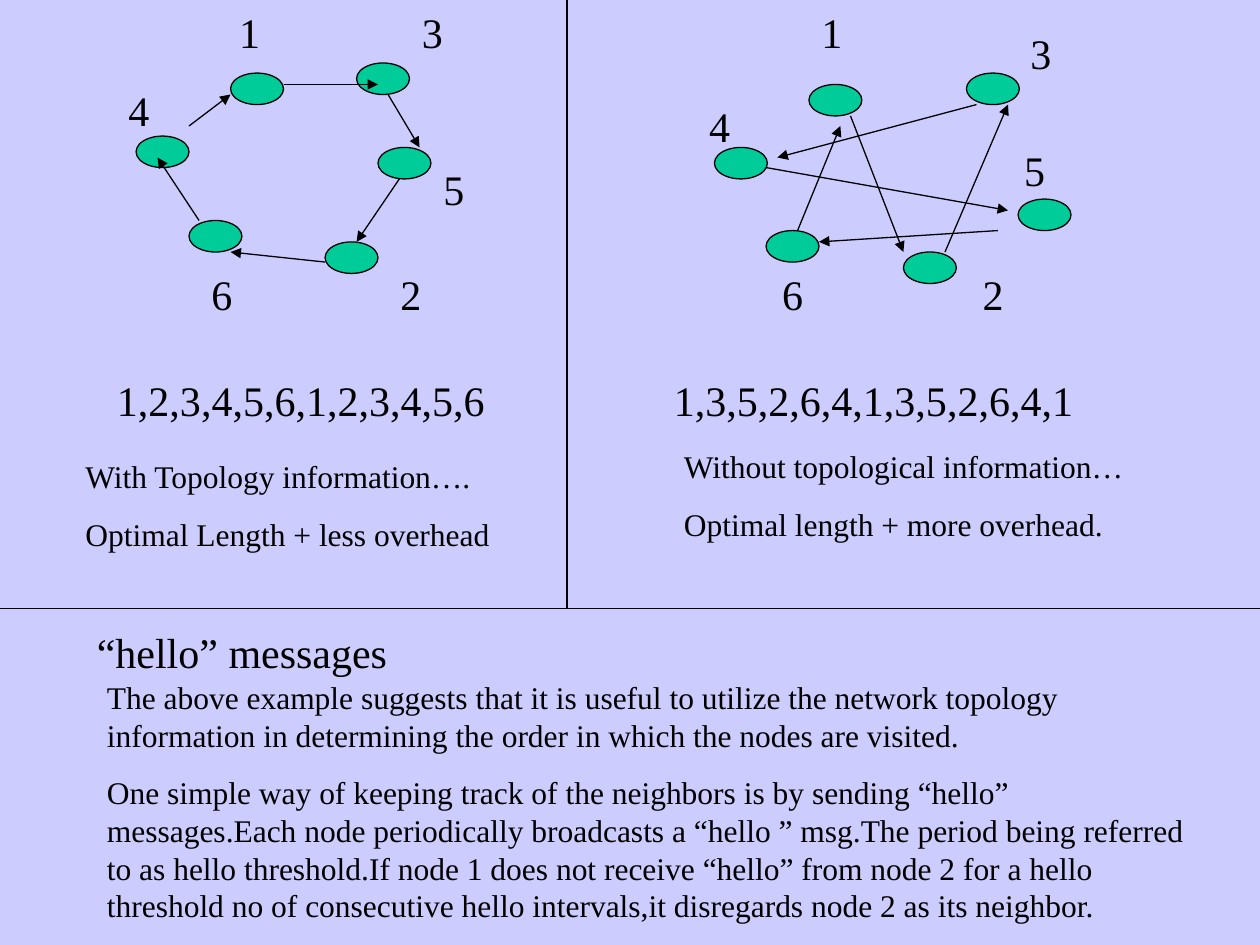
from dataclasses import dataclass

from lxml import etree
from pptx import Presentation
from pptx.dml.color import RGBColor
from pptx.enum.shapes import MSO_CONNECTOR as Connector, MSO_SHAPE as Shape
from pptx.oxml.ns import qn
from pptx.slide import Slide
from pptx.util import Inches, Pt

COLORS = {"background": "CCCCFF", "node": "00CC99", "ink": "000000"}

RING = {
    "nodes": [(1.83, 0.58), (1.08, 1.08), (1.5, 1.75), (2.58, 1.92), (3, 1.17), (2.83, 0.5)],
    "labels": [("1", 1.8, 0, 0.33), ("3", 3.25, 0, 0.5), ("5", 3.42, 1.25, 0.42),
               ("2", 3.08, 2.08, 0.33), ("6", 1.58, 2.08, 0.33), ("4", 0.92, 0.62, 0.58)],
    "arrows": [((1.5, 1), (1.83, 0.75)), ((2.25, 0.67), (3, 0.67)),
               ((3.08, 0.75), (3.33, 1.17)), ((3.17, 1.42), (2.83, 1.92)),
               ((2.58, 2.08), (1.83, 2)), ((1.58, 1.75), (1.25, 1.25))],
}
CROSSING = {
    "nodes": [(6.42, 0.67), (5.67, 1.17), (6.08, 1.83), (7.17, 2), (8.08, 1.58), (7.67, 0.58)],
    "labels": [("1", 6.42, 0, 0.41), ("3", 8.08, 0.17, 0.5), ("5", 8.03, 1.1, 0.51),
               ("2", 7.7, 2.08, 0.41), ("6", 6.11, 2.08, 0.41), ("4", 5.53, 0.75, 0.72)],
    "arrows": [((6.75, 0.92), (7.17, 2)), ((7.5, 2), (8, 0.83)),
               ((7.75, 0.83), (6.17, 1.25)), ((6.08, 1.33), (8, 1.67)),
               ((7.92, 1.83), (6.5, 1.92)), ((6.33, 1.83), (6.67, 1))],
}
DIVIDERS = [((4.5, 0), (4.5, 4.83)), ((0, 4.83), (10, 4.83))]


def color(name):
    return RGBColor.from_string(COLORS[name])


@dataclass
class SlideBuilder:
    slide: Slide
    font: str = "Times New Roman"
    large: float = 24
    small: float = 18
    line_width: float = 0.75

    def background(self):
        fill = self.slide.background.fill
        fill.solid()
        fill.fore_color.rgb = color("background")

    def node(self, left, top):
        shape = self.slide.shapes.add_shape(
            Shape.OVAL, Inches(left), Inches(top), Inches(0.42), Inches(0.25))
        shape.shadow.inherit = False
        shape.fill.solid()
        shape.fill.fore_color.rgb = color("node")
        shape.line.color.rgb = color("ink")
        shape.line.width = Pt(self.line_width)

    def line(self, start, end, arrow=False):
        points = [Inches(value) for value in (*start, *end)]
        connector = self.slide.shapes.add_connector(Connector.STRAIGHT, *points)
        connector.line.color.rgb = color("ink")
        connector.line.width = Pt(self.line_width)
        if arrow:
            outline = connector.line._get_or_add_ln()
            etree.SubElement(outline, qn("a:tailEnd"), type="triangle")
        etree.SubElement(connector._element.spPr, qn("a:effectLst"))

    def text(self, paragraphs, left, top, width, height=0.5, size=None):
        box = self.slide.shapes.add_textbox(
            Inches(left), Inches(top), Inches(width), Inches(height))
        frame = box.text_frame
        frame.word_wrap = True
        frame.text = "\n".join(paragraphs)
        for index, paragraph in enumerate(frame.paragraphs):
            if index:
                paragraph.space_before = Pt(11.2)
            for run in paragraph.runs:
                run.font.name = self.font
                run.font.size = Pt(size or self.large)
                run.font.color.rgb = color("ink")

    def graph(self, nodes, labels, arrows):
        for left, top in nodes:
            self.node(left, top)
        for label, left, top, width in labels:
            self.text([label], left, top, width)
        for start, end in arrows:
            self.line(start, end, arrow=True)


def main():
    presentation = Presentation()
    presentation.slide_width = Inches(10)
    presentation.slide_height = Inches(7.5)
    builder = SlideBuilder(presentation.slides.add_slide(presentation.slide_layouts[6]))
    builder.background()

    for graph in (RING, CROSSING):
        builder.graph(**graph)
    for start, end in DIVIDERS:
        builder.line(start, end)

    builder.text(["1,2,3,4,5,6,1,2,3,4,5,6"], 0.83, 2.92, 3.25)
    builder.text(["1,3,5,2,6,4,1,3,5,2,6,4,1"], 5.25, 2.92, 3.58)
    builder.text(["With Topology information….", "Optimal Length + less overhead"],
                 0.58, 3.58, 3.75, 0.86, builder.small)
    builder.text(["Without topological information…", "Optimal length + more overhead."],
                 5.33, 3.5, 4, 0.86, builder.small)
    builder.text(["“hello” messages"], 0.67, 4.92, 2.58)
    builder.text([
        "The above example suggests that it is useful to utilize the network topology "
        "information in determining the order in which the nodes are visited.",
        "One simple way of keeping track of the neighbors is by sending “hello” "
        "messages.Each node periodically broadcasts a “hello ” msg.The period being "
        "referred to as hello threshold.If node 1 does not receive “hello” from node 2 "
        "for a hello threshold no of consecutive hello intervals,it disregards node 2 "
        "as its neighbor.",
    ], 0.75, 5.33, 8.75, 2.1, builder.small)

    presentation.save("out.pptx")


if __name__ == "__main__":
    main()
